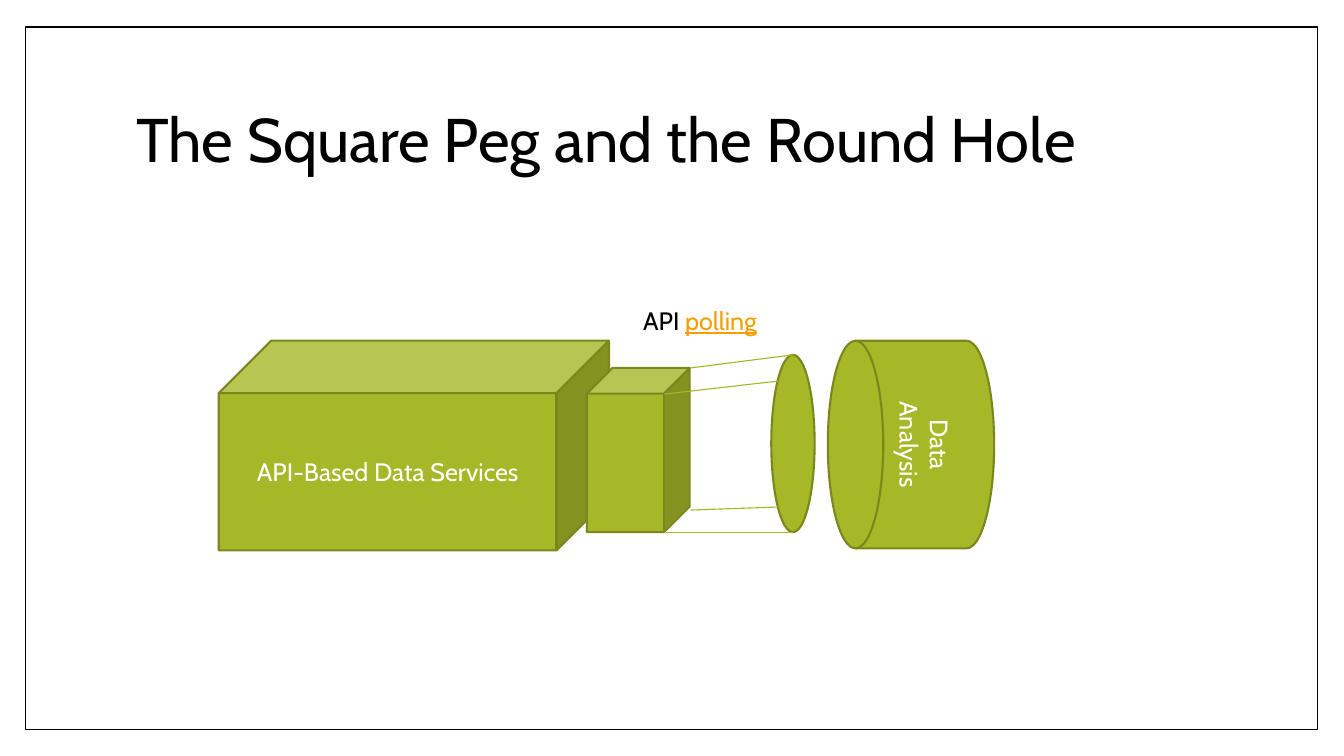
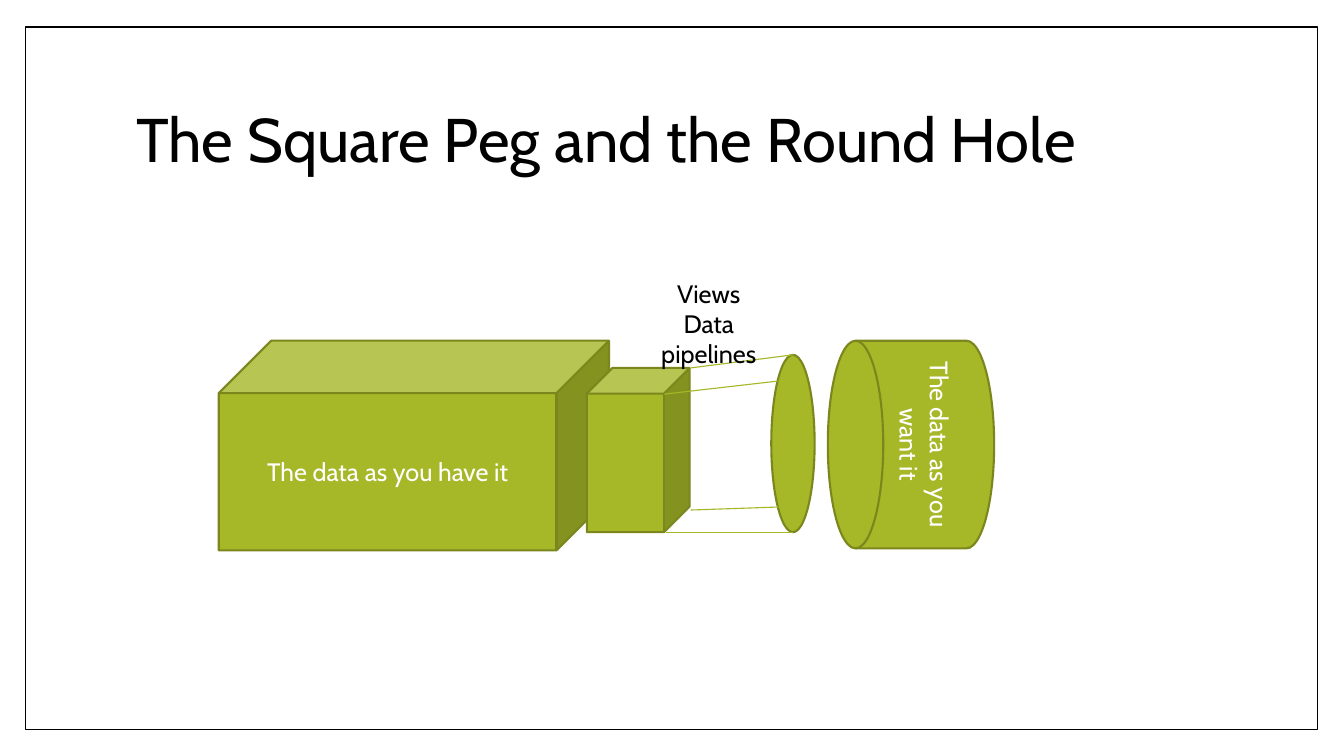
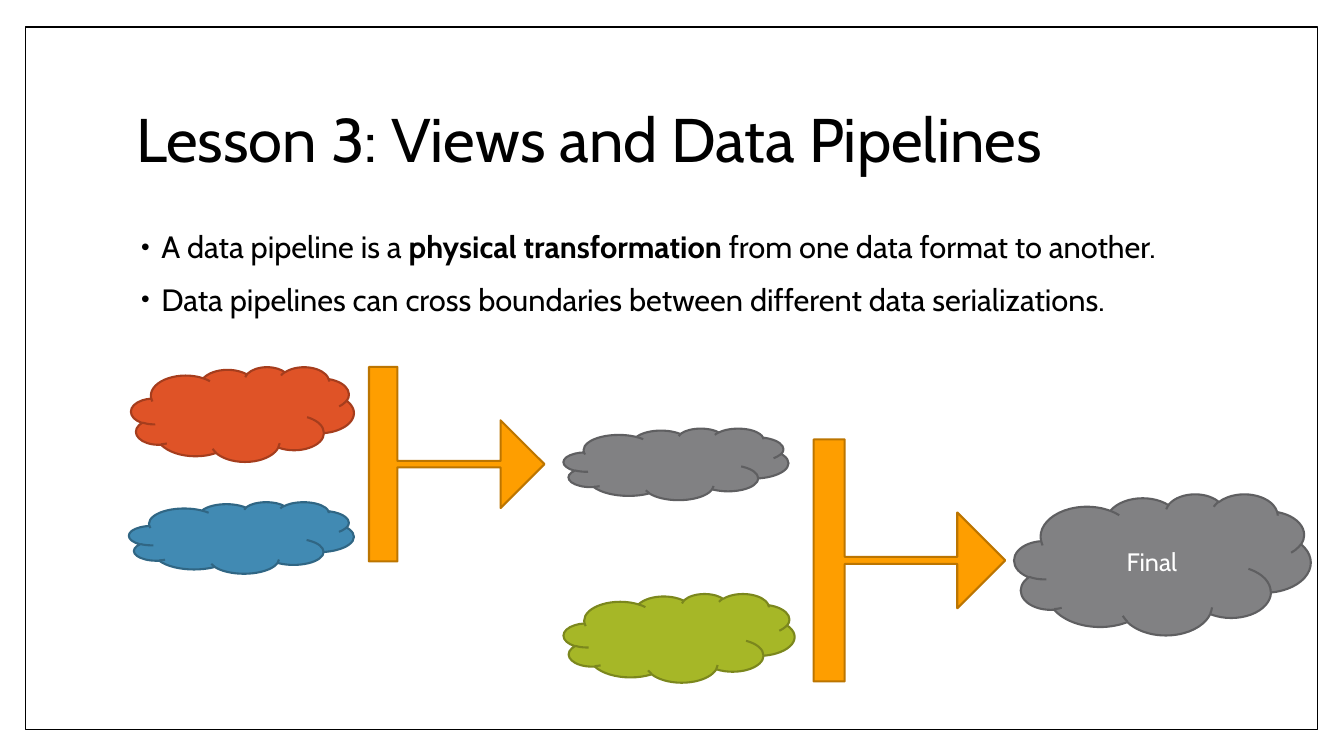
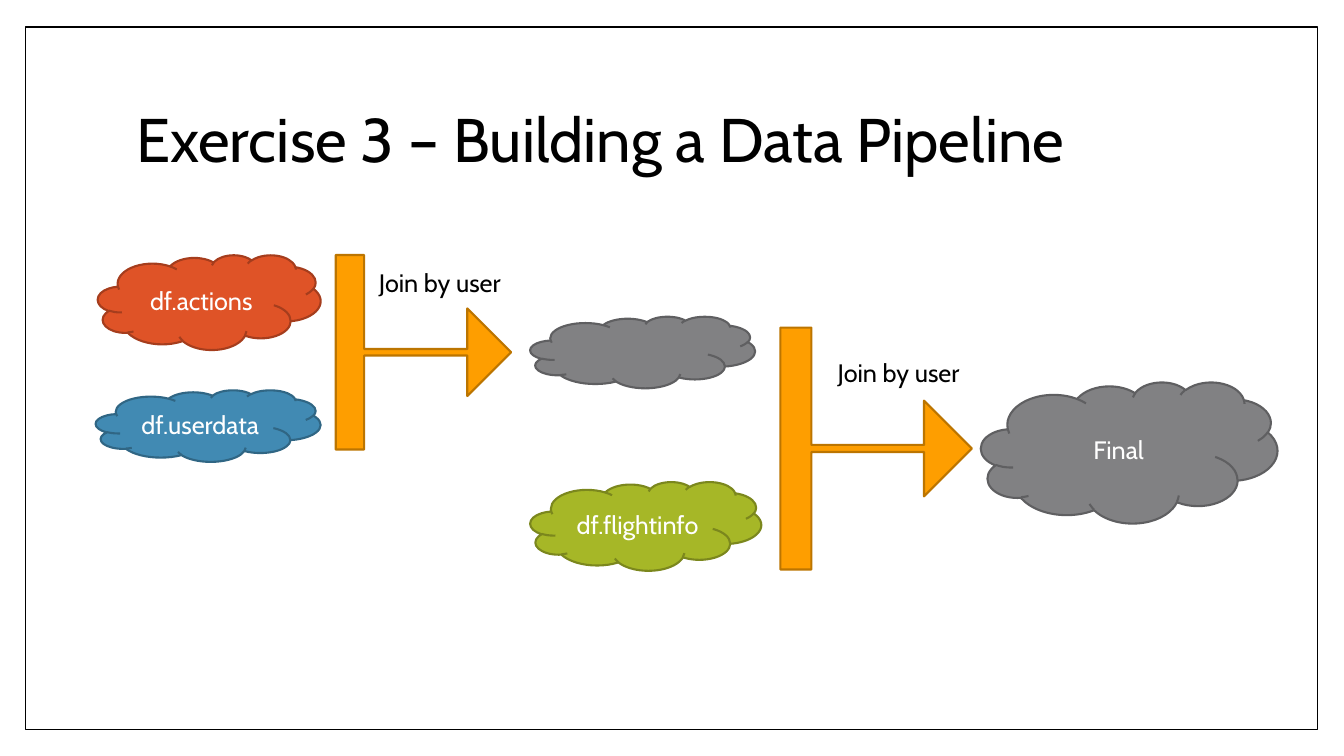
from lxml.etree import SubElement as Sub
from pptx import Presentation
from pptx.dml.color import RGBColor
from pptx.enum.shapes import MSO_CONNECTOR as Line, MSO_SHAPE as Kind
from pptx.enum.text import MSO_ANCHOR as Anchor, MSO_AUTO_SIZE as Fit, PP_ALIGN as Align
from pptx.oxml.ns import qn
from pptx.util import Inches, Pt

FONT = "Cabin"
BLACK, WHITE = "000000", "FFFFFF"
# Each style is a fill and its darker outline
GREEN = ("A6B727", "7B871D")
RED = ("DF5327", "A53D1D")
BLUE = ("418AB3", "306684")
GRAY = ("818183", "5F5F61")
ORANGE = ("FE9E00", "BC7500")
LINK = "F59E00"


def rgb(code):
    return RGBColor.from_string(code)


def place(shape, x, y, w, h):
    shape.left, shape.top = Inches(x), Inches(y)
    shape.width, shape.height = Inches(w), Inches(h)


def style(para, size=18, color=BLACK, align=Align.LEFT):
    para.alignment = align
    for run in para.runs:
        font = run.font
        font.name, font.size = FONT, Pt(size)
        font.color.rgb = rgb(color)


def block(slide, kind, box, look, text="", width=1.5):
    """Add a filled preset shape with centred white text."""
    shape = slide.shapes.add_shape(kind, *map(Inches, box))
    shape.shadow.inherit = False
    shape.fill.solid()
    shape.fill.fore_color.rgb = rgb(look[0])
    shape.line.color.rgb = rgb(look[1])
    shape.line.width = Pt(width)
    if text:
        frame = shape.text_frame
        frame.text = text
        frame.vertical_anchor = Anchor.MIDDLE
        for para in frame.paragraphs:
            style(para, color=WHITE, align=Align.CENTER)
    return shape


def label(slide, box, text, align=Align.LEFT, wrap=False):
    frame = slide.shapes.add_textbox(*map(Inches, box)).text_frame
    frame.word_wrap = wrap
    frame.text = text
    for para in frame.paragraphs:
        style(para, align=align)
    return frame


def ray(slide, start, end):
    line = slide.shapes.add_connector(Line.STRAIGHT, *map(Inches, start + end))
    line.line.color.rgb = rgb(GREEN[0])
    line.line.width = Pt(0.79)
    Sub(line.element.spPr, qn("a:effectLst"))


def page(deck, title, layout=5):
    """Add a slide with the shared title style."""
    slide = deck.slides.add_slide(deck.slide_layouts[layout])
    head = slide.shapes.title
    place(head, 1.25, 0.67, 10.8, 1.48)
    frame = head.text_frame
    frame.text = title
    frame.word_wrap = True
    frame.auto_size = Fit.NONE
    frame.vertical_anchor = Anchor.MIDDLE
    para = frame.paragraphs[0]
    para.line_spacing = 0.9
    style(para, 44)
    return slide


def border(deck, slide):
    """Draw the page frame and move it to the master, behind everything."""
    frame = block(slide, Kind.RECTANGLE, (0.25, 0.27, 12.82, 6.97), (WHITE, BLACK), width=1)
    deck.slide_master.shapes.element.insert(2, frame.element)


def bullets(slide, items):
    """Fill the body; each item is a list of (text, bold) parts."""
    body = slide.placeholders[1]
    place(body, 1.25, 2.25, 10.8, 4.42)
    frame = body.text_frame
    frame.auto_size = Fit.NONE
    for i, parts in enumerate(items):
        para = frame.add_paragraph() if i else frame.paragraphs[0]
        for text, bold in parts:
            run = para.add_run()
            run.text = text
            run.font.bold = bold
        style(para, 22)
        para.line_spacing, para.space_before = 0.9, Pt(14)
        props = para._p.get_or_add_pPr()
        props.set("marL", str(Inches(0.25)))
        props.set("indent", str(Inches(-0.2)))
        Sub(Sub(props, qn("a:buClr")), qn("a:srgbClr"), val=BLACK)
        Sub(props, qn("a:buSzPct"), val="80000")
        Sub(props, qn("a:buFont"), typeface="Arial")
        Sub(props, qn("a:buChar"), char="•")


def peg(slide, x, y, have, want):
    """Square source, round target and the rays between them."""
    block(slide, Kind.CUBE, (x, y, 3.87, 2.08), GREEN, have)
    drum = block(slide, Kind.FLOWCHART_DIRECT_ACCESS_STORAGE,
                 (x + 6.04, y, 1.65, 2.06), GREEN, want)
    drum.rotation = 180
    drum.text_frame._txBody.bodyPr.set("vert", "vert270")
    block(slide, Kind.OVAL, (x + 5.48, y + 0.14, 0.43, 1.76), GREEN)
    block(slide, Kind.CUBE, (x + 3.65, y + 0.27, 1.02, 1.63), GREEN)
    for x1, y1, x2, y2 in (
        (4.68, 0.27, 5.7, 0.14),
        (4.44, 1.9, 5.7, 1.9),
        (4.42, 0.53, 5.55, 0.4),
        (4.68, 1.68, 5.55, 1.65),
    ):
        ray(slide, (x + x1, y + y1), (x + x2, y + y2))


def flow(slide, x, y, red="", blue="", green=""):
    """Two joins that lead from three sources to the final cloud."""
    for dx, dy, w, h, look, text in (
        (0.02, 0, 2.21, 0.94, RED, red),
        (0, 1.34, 2.23, 0.71, BLUE, blue),
        (4.31, 2.25, 2.29, 0.88, GREEN, green),
        (4.31, 0.61, 2.23, 0.71, GRAY, ""),
        (8.78, 1.26, 2.94, 1.4, GRAY, "Final"),
    ):
        block(slide, Kind.CLOUD, (x + dx, y + dy, w, h), look, text)
    for dx, dy, w, h in ((2.38, 0, 1.74, 1.93), (6.79, 0.72, 1.9, 2.4)):
        arrow = block(slide, Kind.RIGHT_ARROW_CALLOUT, (x + dx, y + dy, w, h), ORANGE)
        for i, value in enumerate((0.037, 0.25, 0.25, 0.162)):
            arrow.adjustments[i] = value


def main():
    deck = Presentation()
    deck.slide_width, deck.slide_height = Inches(13.33), Inches(7.5)

    # Polling an API
    slide = page(deck, "The Square Peg and the Round Hole")
    border(deck, slide)
    peg(slide, 2.17, 3.38, "API-Based Data Services", "Data\nAnalysis")
    note = label(slide, (6.28, 2.98, 1.37, 0.4), "API ", wrap=True)
    para = note.paragraphs[0]
    run = para.add_run()
    run.text = "polling"
    style(para)
    run.font.color.rgb = rgb(LINK)
    run.font.underline = True

    # Views and pipelines
    slide = page(deck, "The Square Peg and the Round Hole")
    peg(slide, 2.17, 3.38, "The data as you have it", "The data as you\nwant it")
    label(slide, (6.23, 2.71, 1.6, 0.71), "Views\nData pipelines", Align.CENTER, True)

    # Lesson
    slide = page(deck, "Lesson 3: Views and Data Pipelines", 1)
    bullets(slide, (
        [("A data pipeline is a ", False), ("physical transformation", True),
         (" from one data format to another.", False)],
        [("Data pipelines can cross boundaries between different data serializations.", False)],
    ))
    flow(slide, 1.28, 3.64)

    # Exercise
    slide = page(deck, "Exercise 3 – Building a Data Pipeline")
    flow(slide, 0.95, 2.53, "df.actions", "df.userdata", "df.flightinfo")
    for x, y in ((3.66, 2.6), (8.21, 3.5)):
        label(slide, (x, y, 1.42, 0.4), "Join by user")

    deck.save("out.pptx")


if __name__ == "__main__":
    main()
